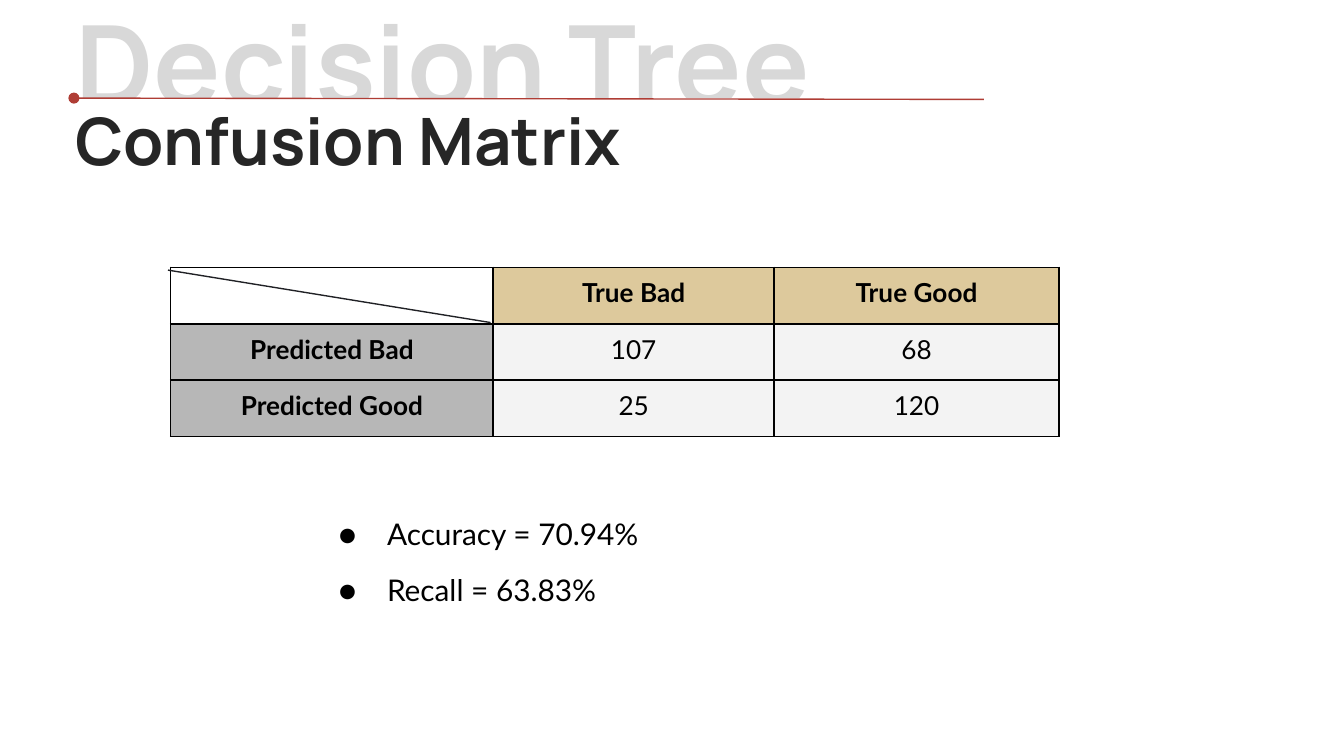
import pptx
import pptx.dml.color
import pptx.enum.shapes
import pptx.enum.text
import pptx.oxml
import pptx.oxml.ns
import pptx.util
import lxml.etree

Inches = pptx.util.Inches
Pt = pptx.util.Pt
Align = pptx.enum.text.PP_ALIGN

COLORS = {
    "ghost": "D8D8D8", "title": "262626", "accent": "AF3D35",
    "text": "000000", "diagonal": "202125", "white": "FFFFFF",
    "column": "DDC99C", "row": "B7B7B7", "value": "F3F3F3",
}
FORMATS = {
    "ghost": {"name": "Manrope", "size": Pt(60), "bold": True},
    "title": {"name": "Manrope", "size": Pt(35), "bold": True},
    "header": {"name": "Lato", "size": Pt(14), "bold": True},
    "value": {"name": "Lato", "size": Pt(14), "bold": False},
    "metric": {"name": "Lato", "size": Pt(16), "bold": False},
}
MATRIX = [
    ["", "True Bad", "True Good"],
    ["Predicted Bad", "107", "68"],
    ["Predicted Good", "25", "120"],
]
METRICS = ["Accuracy = 70.94%", "Recall = 63.83%"]


def rgb(name):
    return pptx.dml.color.RGBColor.from_string(COLORS[name])


def set_attributes(target, values):
    for name, value in values.items():
        setattr(target, name, value)


def add_child(parent, tag, **attributes):
    return lxml.etree.SubElement(parent, pptx.oxml.ns.qn(tag), **attributes)


def write(paragraph, text, style, color):
    run = paragraph.add_run()
    run.text = text
    set_attributes(run.font, FORMATS[style])
    run.font.color.rgb = rgb(color)


def add_text_box(slide, left, top, width, height, inset_top=0):
    box = slide.shapes.add_textbox(Inches(left), Inches(top), Inches(width), Inches(height))
    set_attributes(box.text_frame, {
        "word_wrap": True, "margin_left": 0, "margin_right": 0,
        "margin_top": Inches(inset_top), "margin_bottom": 0,
    })
    return box


def add_line(slide, start, end, color):
    points = [Inches(value) for value in (*start, *end)]
    line = slide.shapes.add_connector(pptx.enum.shapes.MSO_CONNECTOR.STRAIGHT, *points)
    line.line.width = Pt(0.75)
    line.line.color.rgb = rgb(color)
    add_child(line._element.spPr, "a:effectLst")
    return line


def add_heading(slide, left, top, width):
    rule_top = top + 0.66
    ghost = add_text_box(slide, left, top, width, 1.11)
    title = add_text_box(slide, left, rule_top, width, 0.78, 0.08)
    title.fill.solid()
    title.fill.fore_color.rgb = rgb("white")
    for box, text, style in [(ghost, "Decision Tree", "ghost"), (title, "Confusion Matrix", "title")]:
        paragraph = box.text_frame.paragraphs[0]
        paragraph.line_spacing = 0.9
        write(paragraph, text, style, style)
    rule = add_line(slide, (left - 0.01, rule_top), (left + 6.76, rule_top + 0.01), "accent")
    add_child(rule.line._get_or_add_ln(), "a:headEnd", type="oval")


def add_borders(cell):
    properties = cell._tc.get_or_add_tcPr()
    for side in ("a:lnL", "a:lnR", "a:lnT", "a:lnB"):
        border = add_child(properties, side, w=str(Pt(1)))
        fill = add_child(border, "a:solidFill")
        add_child(fill, "a:srgbClr", val=COLORS["text"])


def fill_cell(cell, text, kind):
    add_borders(cell)
    if kind == "white":
        cell.fill.background()
        return
    cell.fill.solid()
    cell.fill.fore_color.rgb = rgb(kind)
    margins = ("margin_left", "margin_right", "margin_top", "margin_bottom")
    set_attributes(cell, dict.fromkeys(margins, Inches(0.07)))
    paragraph = cell.text_frame.paragraphs[0]
    paragraph.alignment = Align.CENTER
    write(paragraph, text, "value" if kind == "value" else "header", "text")


def add_matrix(slide, left, top, column_widths, row_height):
    height = row_height * len(MATRIX)
    frame = slide.shapes.add_table(
        len(MATRIX), len(column_widths), Inches(left), Inches(top),
        Inches(sum(column_widths)), Inches(height))
    table = frame.table
    set_attributes(table, {"first_row": False, "horz_banding": False})
    for column, width in zip(table.columns, column_widths):
        column.width = Inches(width)
    kinds = [["white", "column"], ["row", "value"]]
    for row_index, row in enumerate(MATRIX):
        table.rows[row_index].height = Inches(row_height)
        for column_index, text in enumerate(row):
            kind = kinds[row_index > 0][column_index > 0]
            fill_cell(table.cell(row_index, column_index), text, kind)
    add_line(slide, (left - 0.02, top + 0.02),
             (left + column_widths[0] - 0.02, top + row_height - 0.01), "diagonal")


def add_metrics(slide, left, top, width, height):
    frame = add_text_box(slide, left, top, width, height).text_frame
    for index, text in enumerate(METRICS):
        paragraph = frame.add_paragraph() if index else frame.paragraphs[0]
        set_attributes(paragraph, {"alignment": Align.JUSTIFY, "line_spacing": 1.56})
        properties = paragraph._p.get_or_add_pPr()
        properties.set("marL", str(Inches(0.5)))
        properties.set("indent", str(Inches(-0.36)))
        color = add_child(properties, "a:buClr")
        add_child(color, "a:srgbClr", val=COLORS["text"])
        add_child(properties, "a:buSzPts", val="1600")
        add_child(properties, "a:buFont", typeface="Lato")
        add_child(properties, "a:buChar", char="●")
        write(paragraph, text, "metric", "text")


def main():
    presentation = pptx.Presentation()
    presentation.slide_width = Inches(10)
    presentation.slide_height = Inches(10) * 9 // 16
    slide = presentation.slides.add_slide(presentation.slide_layouts[6])
    add_heading(slide, 0.56, 0.07, 7.5)
    add_matrix(slide, 1.27, 1.99, [2.4, 2.09, 2.12], 0.42)
    add_metrics(slide, 2.38, 3.69, 4.09, 1.39)
    presentation.save("out.pptx")


if __name__ == "__main__":
    main()
